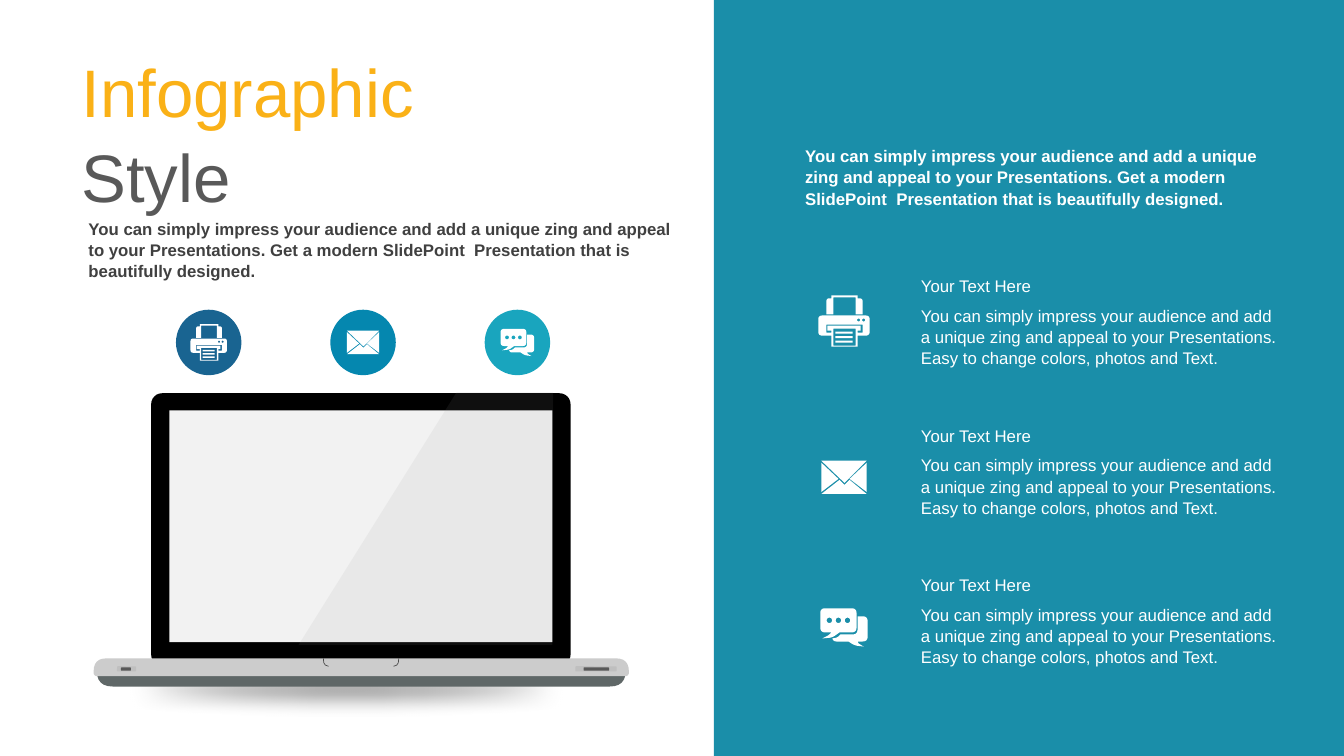
from math import cos, dist, pi, sin

from lxml.etree import SubElement
from pptx import Presentation
from pptx.dml.color import RGBColor
from pptx.enum.shapes import MSO_SHAPE
from pptx.enum.text import MSO_ANCHOR, MSO_AUTO_SIZE, PP_ALIGN
from pptx.oxml.ns import qn
from pptx.util import Cm, Pt

FONT = "Arial"
LINE_SPACING = 1.05
WHITE = RGBColor(0xFF, 0xFF, 0xFF)
BLACK = RGBColor(0x00, 0x00, 0x00)
AMBER = RGBColor(0xFA, 0xB1, 0x17)
TITLE_GREY = RGBColor(0x59, 0x59, 0x59)
TEXT_GREY = RGBColor(0x40, 0x40, 0x40)
PANEL_TEAL = RGBColor(0x1A, 0x8E, 0xA9)
NAVY = RGBColor(0x19, 0x64, 0x91)
BLUE = RGBColor(0x05, 0x87, 0xAF)
AQUA = RGBColor(0x19, 0xA5, 0xBE)
SHADOW_GREY = RGBColor(0x80, 0x80, 0x80)
SCREEN_GREY = RGBColor(0xF2, 0xF2, 0xF2)
GLARE_GREY = RGBColor(0x99, 0x99, 0x99)
BASE_LIGHT = RGBColor(0xCC, 0xCC, 0xCC)
BASE_DARK = RGBColor(0x5F, 0x67, 0x67)
NOTCH_GREY = RGBColor(0x4D, 0x4D, 0x4D)
SLOT_LIGHT = RGBColor(0xBF, 0xBF, 0xBF)

INTRO = ("You can simply impress your audience and add a unique zing and appeal "
         "to your Presentations. Get a modern SlidePoint\u00a0 Presentation that is "
         "beautifully designed.").replace("\u00a0", " ")
CARD_HEADING = "Your Text Here"
CARD_TEXT = ("You can simply impress your audience and add a unique zing and appeal "
             "to your Presentations. Easy to change colors, photos and Text.")


# Outlines: each vertex is (x, y) or (x, y, corner radius)
def outline(*vertices):
    points = []
    for i, (x, y, *radius) in enumerate(vertices):
        if not radius:
            points.append((x, y))
            continue
        before, after = vertices[i - 1][:2], vertices[(i + 1) % len(vertices)][:2]
        (x0, y0), (x1, y1) = (
            (x + (nx - x) * radius[0] / dist((x, y), (nx, ny)),
             y + (ny - y) * radius[0] / dist((x, y), (nx, ny)))
            for nx, ny in (before, after))
        for t in (step / 6 for step in range(7)):
            a, b, c = (1 - t) ** 2, 2 * t * (1 - t), t ** 2
            points.append((a * x0 + b * x + c * x1, a * y0 + b * y + c * y1))
    return points


def box(x, y, width, height):
    return [(x, y), (x + width, y), (x + width, y + height), (x, y + height)]


def dot(x, y, radius):
    return [(x + radius * cos(k * pi / 8), y + radius * sin(k * pi / 8)) for k in range(16)]


# Icons: grid width, grid height, contours
PRINTER = (51, 51, [
    outline((0, 20, 4), (51, 20, 4), (51, 40, 4), (39, 40), (39, 51),
            (13, 51), (13, 40), (0, 40, 4)),
    box(15, 33, 22, 17),
    *[box(17, y, 17, 2) for y in (36, 40.5, 45)],
    [(8, 29), (44, 29), (44, 37), (39, 37), (39, 35), (42, 35), (42, 30),
     (9, 30), (9, 35), (13, 35), (13, 37), (8, 37)],
    dot(40, 24.5, 1.5), dot(45, 24.5, 1.5),
    outline((13, 0), (39, 0), (39, 3), (44, 3, 3), (44, 19), (37, 19), (37, 2),
            (15, 2), (15, 19), (8, 19), (8, 3, 3), (13, 3)),
])
ENVELOPE = (45, 33, [
    [(28, 19), (45, 33), (0, 33), (18, 19), (23, 24)],
    [(45, 2), (45, 31), (28, 18)],
    [(0, 2), (17, 18), (0, 31)],
    [(0, 0), (45, 0), (23, 22)],
])
CHAT = (47, 38, [
    *[dot(x, 12, 2.7) for x in (9, 18, 27)],
    outline((0, 0, 5), (36, 0, 5), (36, 24, 5), (19, 24), (12, 29, 3), (2, 30),
            (8, 27, 2), (11, 24), (0, 24, 5)),
    outline((37, 8), (47, 8, 5), (47, 33, 5), (37, 33), (38, 35, 1), (43, 38),
            (34, 37, 4), (28, 33), (13, 33, 3), (12, 30), (17, 29, 2), (20, 26),
            (37, 26, 5)),
])


def paint(shape, color):
    shape.shadow.inherit = False
    shape.fill.solid()
    shape.fill.fore_color.rgb = color
    shape.line.fill.background()
    return shape


def add_preset(slide, kind, left, top, width, height, color):
    return paint(slide.shapes.add_shape(kind, Cm(left), Cm(top), Cm(width), Cm(height)), color)


def add_outline(slide, contours, color, closed=True):
    contours = [[(Cm(x), Cm(y)) for x, y in contour] for contour in contours]
    builder = slide.shapes.build_freeform(*contours[0][0])
    for i, contour in enumerate(contours):
        if i:
            builder.move_to(*contour[0])
        builder.add_line_segments(contour[1:], close=closed)
    return paint(builder.convert_to_shape(), color)


def add_icon(slide, icon, center_x, center_y, scale):
    width, height, contours = icon
    add_outline(slide, [[(center_x + (x - width / 2) * scale,
                          center_y + (y - height / 2) * scale) for x, y in contour]
                        for contour in contours], WHITE)


def format_run(run, size, color, bold=False):
    run.font.name = FONT
    run.font.size = Pt(size)
    run.font.bold = bold
    run.font.color.rgb = color


def add_text(slide, text, left, top, width, height, color, bold=False, anchor=MSO_ANCHOR.TOP):
    frame = slide.shapes.add_textbox(Cm(left), Cm(top), Cm(width), Cm(height)).text_frame
    frame.word_wrap = True
    frame.vertical_anchor = anchor
    frame.text = text
    frame.paragraphs[0].line_spacing = LINE_SPACING
    format_run(frame.paragraphs[0].runs[0], 12, color, bold)


def set_title(slide):
    title = slide.shapes.title
    title.left, title.top, title.width, title.height = Cm(1.8), Cm(1.04), Cm(9.17), Cm(4.37)
    frame = title.text_frame
    frame.auto_size = MSO_AUTO_SIZE.NONE
    frame.word_wrap = True
    frame.vertical_anchor = MSO_ANCHOR.TOP
    paragraph = frame.paragraphs[0]
    paragraph.alignment = PP_ALIGN.LEFT
    paragraph.line_spacing = LINE_SPACING
    for word, color in (("Infographic ", AMBER), ("Style", TITLE_GREY)):
        run = paragraph.add_run()
        run.text = word
        format_run(run, 48, color)


def add_laptop(slide):
    # Soft ground shadow
    ground = add_preset(slide, MSO_SHAPE.OVAL, 0.53, 16.64, 16.41, 1.45, SHADOW_GREY)
    effects = ground.element.spPr.find(qn("a:effectLst"))
    SubElement(effects, qn("a:softEdge"), rad=str(Pt(15)))

    # Base underside, lid, screen and base top
    add_outline(slide, [outline((2.44, 16.9), (15.77, 16.9), (15.77, 17.3, 0.4),
                                (2.44, 17.3, 0.4))], BASE_DARK)
    lid = add_preset(slide, MSO_SHAPE.ROUNDED_RECTANGLE, 3.81, 9.91, 10.57, 6.86, BLACK)
    lid.adjustments[0] = 0.04
    add_preset(slide, MSO_SHAPE.RECTANGLE, 4.27, 10.34, 9.65, 5.84, SCREEN_GREY)
    add_outline(slide, [outline((2.36, 17.04, 0.1), (2.36, 16.59, 0.33),
                                (15.85, 16.59, 0.33), (15.85, 17.04, 0.1))], BASE_LIGHT)

    # Opening notch
    notch = add_outline(slide, [[(8.15, 16.59), (8.16, 16.7), (8.2, 16.76), (8.28, 16.79)],
                                [(10.05, 16.59), (10.04, 16.7), (10, 16.76), (9.92, 16.79)]],
                        NOTCH_GREY, closed=False)
    notch.fill.background()
    notch.line.color.rgb = NOTCH_GREY
    notch.line.width = Pt(0.5)

    # Slots
    for left, width, inner_left, inner_width in ((2.95, 0.48, 3.05, 0.25),
                                                 (14.5, 1.04, 14.71, 0.64)):
        add_preset(slide, MSO_SHAPE.ROUNDED_RECTANGLE, left, 16.79, width, 0.13, SLOT_LIGHT)
        add_preset(slide, MSO_SHAPE.ROUNDED_RECTANGLE, inner_left, 16.82, inner_width, 0.08,
                   TITLE_GREY)

    # Glare
    glare = add_outline(slide, [[(11.51, 9.88), (13.94, 9.88), (13.92, 16.26), (7.52, 16.26)]],
                        GLARE_GREY)
    SubElement(glare.element.spPr.find(".//" + qn("a:srgbClr")), qn("a:alpha"), val="10000")


def add_badge(slide, icon, color, center_x, center_y):
    size = 1.65
    add_preset(slide, MSO_SHAPE.OVAL, center_x - size / 2, center_y - size / 2, size, size, color)
    add_icon(slide, icon, center_x, center_y, 0.018)


def add_card(slide, icon, top, icon_y):
    add_icon(slide, icon, 21.27, icon_y, 0.0254)
    add_text(slide, CARD_HEADING, 22.96, top, 9.5, 0.76, WHITE, anchor=MSO_ANCHOR.MIDDLE)
    add_text(slide, CARD_TEXT, 22.96, top + 0.74, 9.5, 1.8, WHITE)


def main():
    prs = Presentation()
    prs.slide_width, prs.slide_height = Cm(33.87), Cm(19.05)
    slide = prs.slides.add_slide(prs.slide_layouts[5])

    # Left side
    set_title(slide)
    add_text(slide, INTRO, 1.98, 5.36, 15.27, 1.8, TEXT_GREY, bold=True)
    add_laptop(slide)
    icons = (PRINTER, ENVELOPE, CHAT)
    for i, (icon, color) in enumerate(zip(icons, (NAVY, BLUE, AQUA))):
        add_badge(slide, icon, color, 5.26 + 3.89 * i, 8.63)

    # Right panel
    add_preset(slide, MSO_SHAPE.RECTANGLE, 17.99, 0, 15.88, 19.05, PANEL_TEAL)
    add_text(slide, INTRO, 20.04, 3.53, 11.94, 1.8, WHITE, bold=True)
    for i, (icon, icon_y) in enumerate(zip(icons, (8.09, 12.03, 15.81))):
        add_card(slide, icon, 6.81 + 3.77 * i, icon_y)

    prs.save("out.pptx")


if __name__ == "__main__":
    main()
